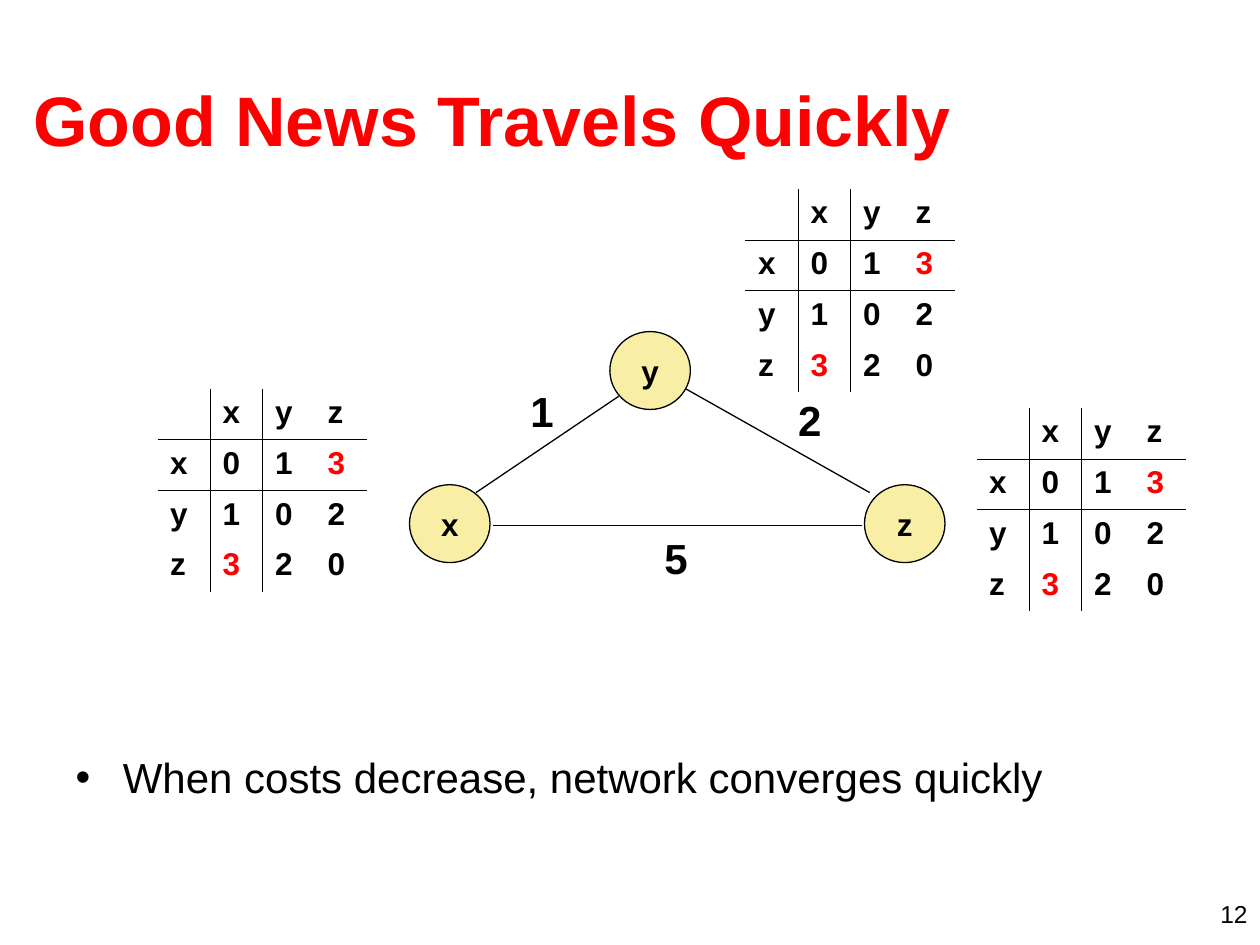
from lxml.etree import SubElement
from pptx import Presentation
from pptx.dml.color import RGBColor
from pptx.enum.shapes import MSO_CONNECTOR, MSO_SHAPE
from pptx.enum.text import MSO_ANCHOR, MSO_AUTO_SIZE, PP_ALIGN
from pptx.oxml.ns import qn
from pptx.util import Pt

BLACK, RED, CREAM = "000000", "FF0000", "F8EEA6"
NO_STYLE = "{2D5ABB26-0587-4C30-8999-92F81FD0307C}"
DISTANCES = ["xyz", "x013", "y102", "z320"]


def color(value):
    """Turn a hex string into a colour."""
    return RGBColor.from_string(value)


def points(box):
    """Turn a sequence of numbers into lengths in points."""
    return [Pt(number) for number in box]


def write(frame, text, size, hex_color=BLACK, bold=True, **paragraph_format):
    """Fill a text frame with one formatted paragraph and return it."""
    paragraph = frame.paragraphs[0]
    for name, value in paragraph_format.items():
        setattr(paragraph, name, value)
    run = paragraph.add_run()
    run.text = text
    font_format = {"name": "Arial", "size": Pt(size), "bold": bold}
    for name, value in font_format.items():
        setattr(run.font, name, value)
    run.font.color.rgb = color(hex_color)
    return paragraph


def place(shape, box):
    """Move and size a shape to a box."""
    for name, value in zip(("left", "top", "width", "height"), points(box)):
        setattr(shape, name, value)


def add_title(slide, box, text):
    """Place the slide title."""
    title = slide.shapes.title
    place(title, box)
    frame = title.text_frame
    frame.auto_size = MSO_AUTO_SIZE.NONE
    frame.vertical_anchor = MSO_ANCHOR.MIDDLE
    write(frame, text, 40, RED, alignment=PP_ALIGN.LEFT)


def add_bullet(slide, box, text):
    """Place the body placeholder with one bulleted line."""
    body = slide.placeholders[1]
    place(body, box)
    body.text_frame.auto_size = MSO_AUTO_SIZE.NONE
    paragraph = write(body.text_frame, text, 24, bold=False, space_before=Pt(6))
    properties = paragraph._p.get_or_add_pPr()
    properties.set("marL", str(Pt(27)))
    properties.set("indent", str(-Pt(27)))
    SubElement(properties, qn("a:buChar"), char="•")


def add_borders(cell, sides):
    """Draw thin lines on the named sides of a cell."""
    properties = cell._tc.get_or_add_tcPr()
    for side in "LRTB":
        if side in sides:
            line = SubElement(properties, qn(f"a:ln{side}"), w=str(Pt(0.45)))
            fill = SubElement(line, qn("a:solidFill"))
            SubElement(fill, qn("a:srgbClr"), val=BLACK)


def add_distance_table(slide, box):
    """Place a distance table with a ruled header row and column."""
    table = slide.shapes.add_table(4, 4, *points(box)).table
    table.first_row = table.horz_banding = False
    table._tbl.tblPr.find(qn("a:tableStyleId")).text = NO_STYLE
    for column in table.columns:
        column.width = Pt(box[2] / 4)
    for row in table.rows:
        row.height = Pt(box[3] / 4)
    for row, letters in enumerate(DISTANCES):
        for column, text in enumerate(letters.rjust(4)):
            cell = table.cell(row, column)
            sides = {0: "B", 1: "T"}.get(row, "") + {0: "R", 1: "L"}.get(column, "")
            add_borders(cell, sides)
            cell.fill.background()
            if text.strip():
                write(cell.text_frame, text, 18, RED if text == "3" else BLACK,
                      space_before=Pt(4.5))


def add_node(group, box, name):
    """Place a round network node."""
    node = group.shapes.add_shape(MSO_SHAPE.OVAL, *points(box))
    node.shadow.inherit = False
    node.fill.solid()
    node.fill.fore_color.rgb = color(CREAM)
    node.line.color.rgb = color(BLACK)
    node.line.width = Pt(0.75)
    frame = node.text_frame
    frame.word_wrap = False
    frame.vertical_anchor = MSO_ANCHOR.MIDDLE
    write(frame, name, 18, alignment=PP_ALIGN.CENTER)


def add_link(group, ends, label_corner, cost):
    """Place a link between two nodes and its cost."""
    link = group.shapes.add_connector(MSO_CONNECTOR.STRAIGHT, *points(ends))
    link.line.color.rgb = color(BLACK)
    link.line.width = Pt(0.75)
    SubElement(link._element.spPr, qn("a:effectLst"))
    label = group.shapes.add_textbox(*points((*label_corner, 34, 36)))
    label.text_frame.word_wrap = True
    write(label.text_frame, cost, 24, space_before=Pt(15))


def add_network(slide, box):
    """Place the triangle of nodes and links inside a box."""
    left, top, width, height = box
    group = slide.shapes.add_group_shape()
    node_width, node_height = 46, 44.5
    base = top + height - node_height
    corners = {"y": (left + 114.5, top), "x": (left, base),
               "z": (left + width - node_width, base)}
    for name, corner in corners.items():
        add_node(group, (*corner, node_width, node_height), name)
    links = {"5": ((47.5, 111, 258.5, 111), (138.5, 111)),
             "1": ((38, 92, 119.5, 37), (62, 27)),
             "2": ((157.5, 32.5, 263, 92), (215, 32.5))}
    for cost, ((x1, y1, x2, y2), (x, y)) in links.items():
        ends = (left + x1, top + y1, left + x2, top + y2)
        add_link(group, ends, (left + x, top + y), cost)


def add_page_number(slide, box, number):
    """Place the page number."""
    frame = slide.shapes.add_textbox(*points(box)).text_frame
    frame.word_wrap = True
    write(frame, number, 14, bold=False, alignment=PP_ALIGN.RIGHT)


def main():
    """Build the slide and save it."""
    presentation = Presentation()
    presentation.slide_width, presentation.slide_height = points((720, 540))
    slide = presentation.slides.add_slide(presentation.slide_layouts[1])
    add_title(slide, (12, 23, 690, 90), "Good News Travels Quickly")
    add_bullet(slide, (36, 426, 648, 56),
               "When costs decrease, network converges quickly")
    for corner in ((90, 222), (426, 108), (558, 233)):
        add_distance_table(slide, (*corner, 120, 116))
    add_network(slide, (234, 189.5, 306, 132))
    add_page_number(slide, (552, 510, 168, 18), "12")
    presentation.save("out.pptx")


if __name__ == "__main__":
    main()
